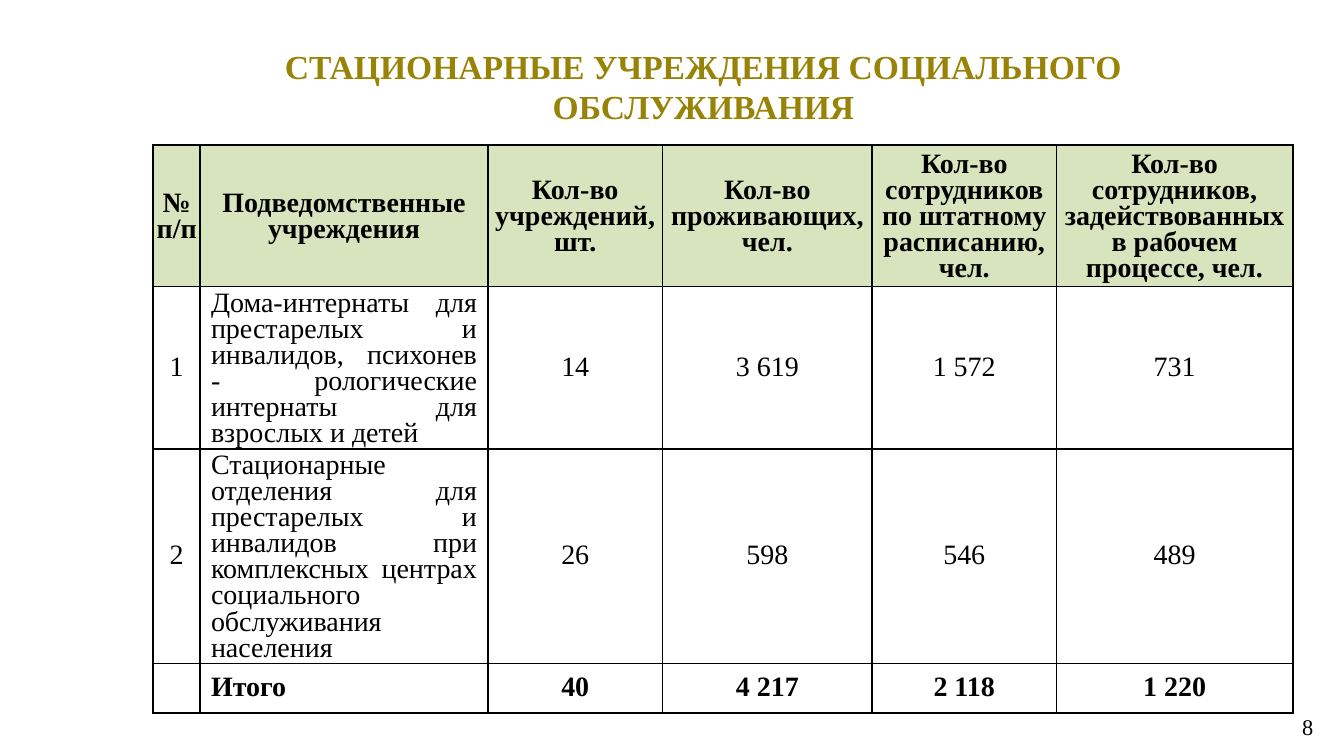
from dataclasses import dataclass

from lxml.etree import SubElement
from pptx import Presentation
from pptx.dml.color import RGBColor
from pptx.enum.text import MSO_ANCHOR, PP_ALIGN
from pptx.oxml.ns import qn
from pptx.util import Inches, Pt

COLORS = {"title": "998307", "text": "000000", "border": "000000", "header": "D7E4BD"}
FONT = "Times New Roman"
SLIDE_WIDTH = 10
SLIDE_HEIGHT = SLIDE_WIDTH * 9 / 16
COLUMN_WIDTHS = (0.35, 2.14, 1.3, 1.56, 1.37, 1.76)


@dataclass
class TableRow:
    height: float
    texts: tuple[str, ...]
    bold: bool = False
    fill: str | None = None
    top_margin: float = 0.04
    name_align: PP_ALIGN = PP_ALIGN.JUSTIFY
    name_margins: tuple[float, ...] = (0.08, 0.04, 0.08, 0)


ROWS = (
    TableRow(
        1.04,
        (
            "№ п/п",
            "Подведомственные учреждения",
            "Кол-во учреждений, шт.",
            "Кол-во проживающих, чел.",
            "Кол-во сотрудников по штатному расписанию, чел.",
            "Кол-во сотрудников, задействованных в рабочем процессе, чел.",
        ),
        bold=True,
        fill="header",
        top_margin=0.06,
        name_align=PP_ALIGN.CENTER,
        name_margins=(0, 0.06, 0, 0.02),
    ),
    TableRow(
        1.2,
        (
            "1",
            "Дома-интернаты для престарелых и инвалидов, психонев - "
            "рологические интернаты для взрослых и детей",
            "14", "3 619", "1 572", "731",
        ),
    ),
    TableRow(
        1.59,
        (
            "2",
            "Стационарные отделения для престарелых и инвалидов при "
            "комплексных центрах социального обслуживания населения",
            "26", "598", "546", "489",
        ),
    ),
    TableRow(
        0.37,
        ("", "Итого", "40", "4 217", "2 118", "1 220"),
        bold=True,
        name_align=PP_ALIGN.LEFT,
        name_margins=(0.08, 0.04, 0, 0.02),
    ),
)


def write_text(frame, text: str, *, size: float, color: str = "text",
               bold: bool = False, align: PP_ALIGN = PP_ALIGN.CENTER,
               line_spacing: Pt | None = None) -> None:
    frame.word_wrap = True
    paragraph = frame.paragraphs[0]
    paragraph.alignment = align
    paragraph.line_spacing = line_spacing
    run = paragraph.add_run()
    run.text = text
    run.font.name = FONT
    run.font.size = Pt(size)
    run.font.bold = bold
    run.font.color.rgb = RGBColor.from_string(COLORS[color])


def add_label(slide, box: tuple[float, ...], text: str, **text_format) -> None:
    frame = slide.shapes.add_textbox(*map(Inches, box)).text_frame
    frame.vertical_anchor = MSO_ANCHOR.MIDDLE
    write_text(frame, text, **text_format)


def set_borders(cell) -> None:
    """Outline the cell; must run before its fill is set, as borders come first."""
    properties = cell._tc.get_or_add_tcPr()
    for side in ("a:lnL", "a:lnR", "a:lnT", "a:lnB"):
        line = SubElement(properties, qn(side), w=str(Pt(1)))
        fill = SubElement(line, qn("a:solidFill"))
        SubElement(fill, qn("a:srgbClr"), val=COLORS["border"])


def fill_cell(cell, row: TableRow, column: int) -> None:
    is_name = column == 1
    margins = row.name_margins if is_name else (0, row.top_margin, 0, 0.02)
    (cell.margin_left, cell.margin_top,
     cell.margin_right, cell.margin_bottom) = map(Inches, margins)
    cell.vertical_anchor = MSO_ANCHOR.MIDDLE
    set_borders(cell)
    if row.fill:
        cell.fill.solid()
        cell.fill.fore_color.rgb = RGBColor.from_string(COLORS[row.fill])
    else:
        cell.fill.background()
    write_text(cell.text_frame, row.texts[column], size=15, bold=row.bold,
               align=row.name_align if is_name else PP_ALIGN.CENTER,
               line_spacing=Pt(14))


def add_institutions_table(slide, left: float, top: float) -> None:
    width, height = sum(COLUMN_WIDTHS), sum(row.height for row in ROWS)
    table = slide.shapes.add_table(
        len(ROWS), len(COLUMN_WIDTHS), *map(Inches, (left, top, width, height))
    ).table
    table.first_row = table.horz_banding = False
    for column, column_width in zip(table.columns, COLUMN_WIDTHS):
        column.width = Inches(column_width)
    for index, row in enumerate(ROWS):
        table.rows[index].height = Inches(row.height)
        for column in range(len(COLUMN_WIDTHS)):
            fill_cell(table.cell(index, column), row, column)


def main() -> None:
    presentation = Presentation()
    presentation.slide_width = Inches(SLIDE_WIDTH)
    presentation.slide_height = Inches(SLIDE_HEIGHT)
    slide = presentation.slides.add_slide(presentation.slide_layouts[6])
    add_label(slide, (1.06, 0.29, 8.35, 0.7),
              "СТАЦИОНАРНЫЕ УЧРЕЖДЕНИЯ СОЦИАЛЬНОГО ОБСЛУЖИВАНИЯ",
              size=18, color="title", bold=True)
    add_institutions_table(slide, 1.14, 1.08)
    add_label(slide, (7.54, 5.26, 2.33, 0.3), "8", size=12, align=PP_ALIGN.RIGHT)
    presentation.save("out.pptx")


if __name__ == "__main__":
    main()
